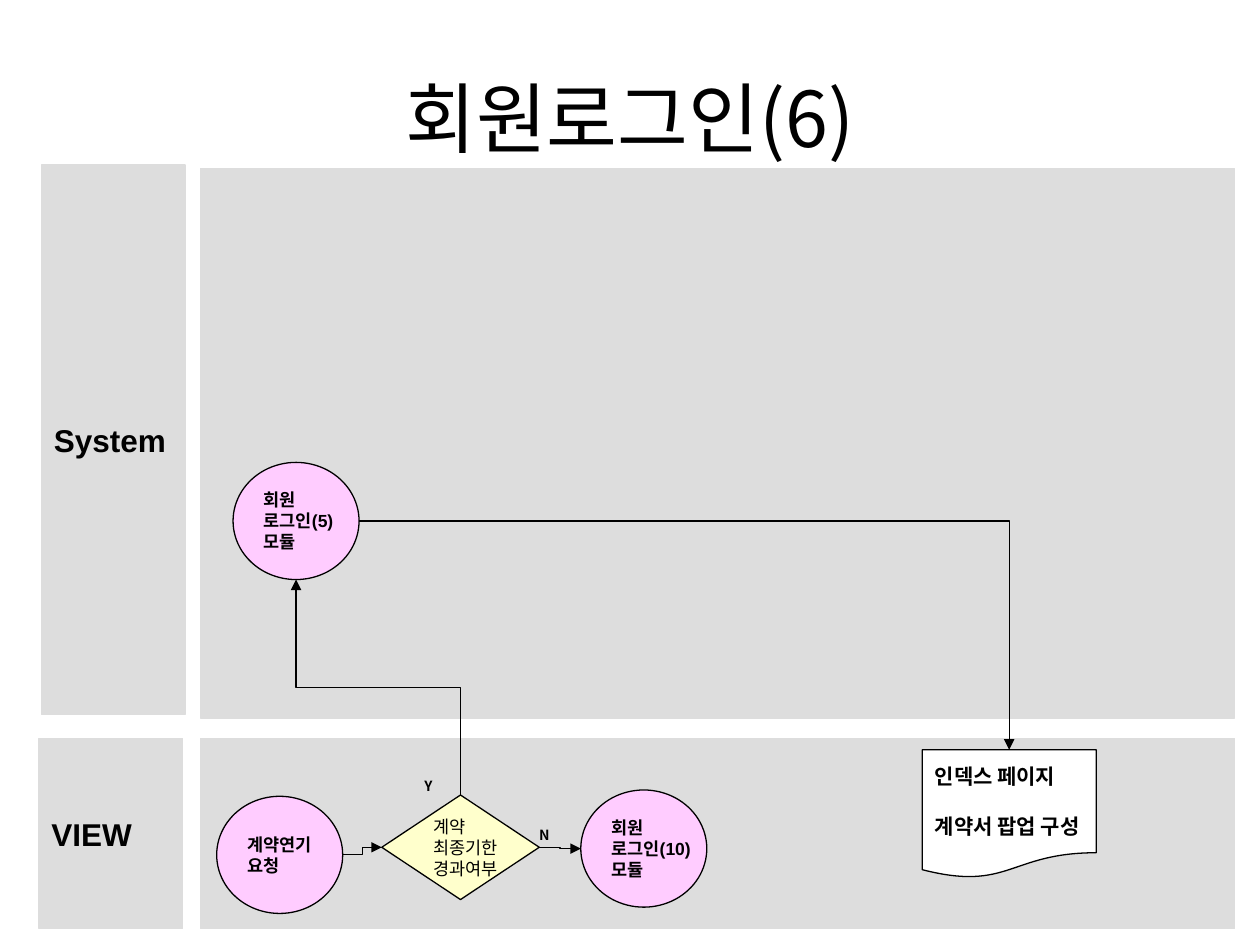
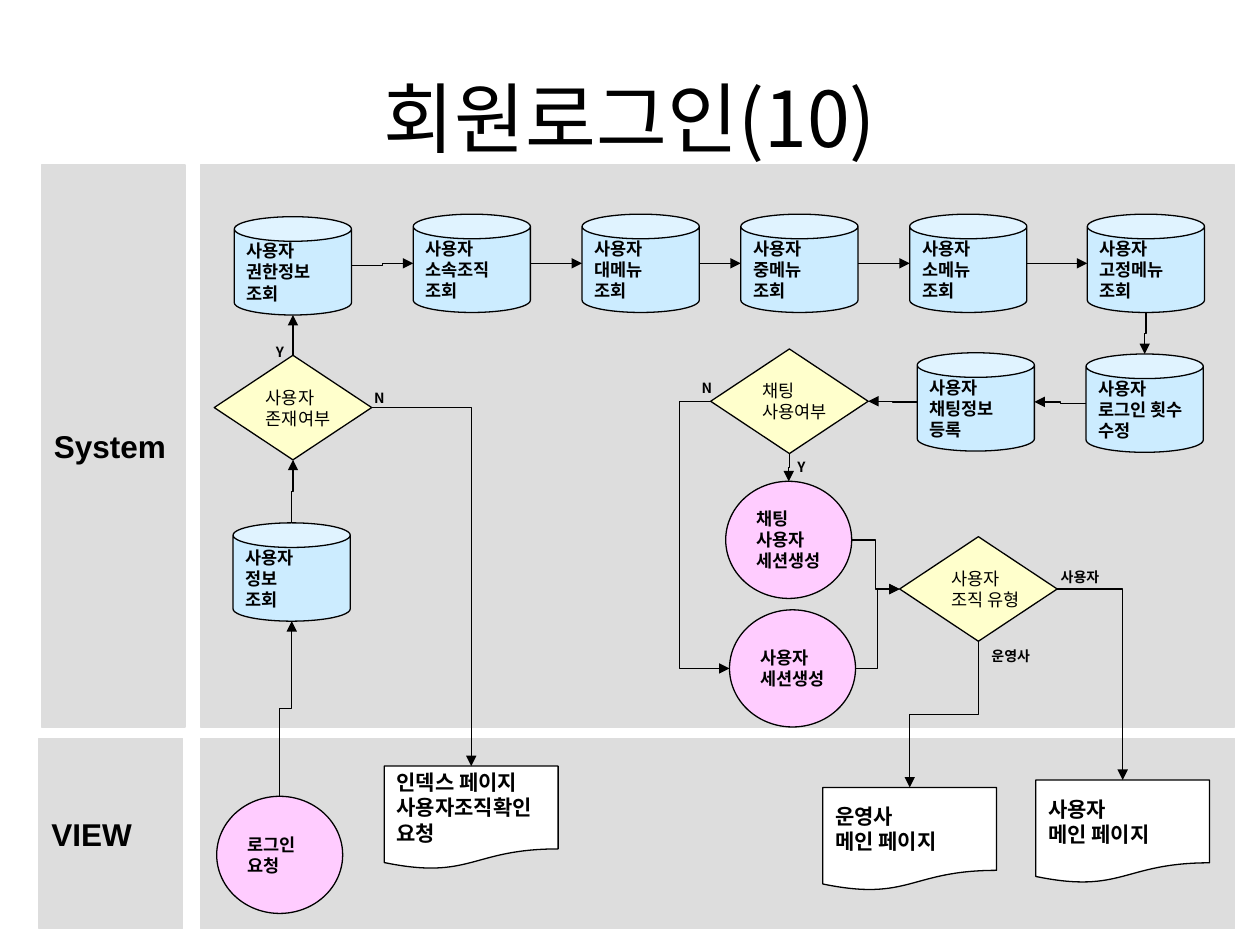
import dataclasses

import lxml.etree
import pptx
import pptx.dml.color
import pptx.enum.shapes
import pptx.enum.text
import pptx.oxml.ns
import pptx.util

Inches = pptx.util.Inches
Pt = pptx.util.Pt
qn = pptx.oxml.ns.qn
Kind = pptx.enum.shapes.MSO_SHAPE


@dataclasses.dataclass(frozen=True)
class Theme:
    ink: str = "000000"
    lane: str = "DDDDDD"
    latin: str = "Arial"
    asian: str = "Noto Sans CJK KR"
    title: int = 44
    head: int = 18
    page: int = 12
    step: int = 10
    tag: int = 8
    rule: float = 0.75


@dataclasses.dataclass(frozen=True)
class Box:
    x: float
    y: float
    w: float
    h: float

    def inset(self, x, y, w, h):
        return Box(self.x + x, self.y + y, w, h)

    def lengths(self):
        return [Inches(v) for v in (self.x, self.y, self.w, self.h)]


@dataclasses.dataclass(frozen=True)
class Style:
    shape: int
    w: float
    h: float
    fill: str
    size: int
    face: str
    bold: bool = True


THEME = Theme()
STEP = Style(Kind.OVAL, 1, 0.93, "FFCCFF", THEME.step, THEME.latin)
QUERY = Style(Kind.CAN, 0.93, 0.78, "CCECFF", THEME.step, THEME.latin)
TEST = Style(Kind.DIAMOND, 1.25, 0.83, "FFFFCC", THEME.step, THEME.asian, False)
PAGE = Style(Kind.FLOWCHART_DOCUMENT, 1.38, 0.82, "FFFFFF", THEME.page, THEME.latin)


def rgb(code):
    return pptx.dml.color.RGBColor.from_string(code)


def write(shape, lines, size, face, bold, gap=0):
    frame = shape.text_frame
    frame.word_wrap = False
    frame.text = "\n".join(lines)
    for i, para in enumerate(frame.paragraphs):
        para.alignment = pptx.enum.text.PP_ALIGN.LEFT
        if i and gap:
            para.space_before = Pt(gap)
        font = para.font
        font.name, font.size, font.bold = face, Pt(size), bold
        font.color.rgb = rgb(THEME.ink)
        props = para._p.get_or_add_pPr().get_or_add_defRPr()
        lxml.etree.SubElement(props, qn("a:ea"), typeface=THEME.asian)
    return frame


def block(slide, kind, box, fill, edge):
    shape = slide.shapes.add_shape(kind, *box.lengths())
    shape.shadow.inherit = False
    shape.fill.solid()
    shape.fill.fore_color.rgb = rgb(fill)
    shape.line.color.rgb = rgb(edge)
    shape.line.width = Pt(THEME.rule)
    shape.text_frame.vertical_anchor = pptx.enum.text.MSO_ANCHOR.MIDDLE
    return shape


def node(slide, area, style, x, y, lines, h=None, gap=0):
    box = area.inset(x, y, style.w, h or style.h)
    shape = block(slide, style.shape, box, style.fill, THEME.ink)
    write(shape, lines, style.size, style.face, style.bold, gap)
    return shape


def tag(slide, area, x, y, text):
    w = 0.28 if len(text) == 1 else 0.54
    shape = slide.shapes.add_textbox(*area.inset(x, y, w, 0.24).lengths())
    write(shape, [text], THEME.tag, THEME.asian, True)


def port(shape, side):
    dx, dy = {"top": (0.5, 0), "left": (0, 0.5),
              "base": (0.5, 1), "right": (1, 0.5)}[side]
    return shape.left + shape.width * dx, shape.top + shape.height * dy


def link(slide, start, out, end, into, bend=None):
    ax, ay = port(start, out)
    bx, by = port(end, into)
    upright = out in ("top", "base")
    corner = upright != (into in ("top", "base"))
    if upright:
        cx, cy = (ax + bx) / 2, (ay + by) / 2
        dx, dy = ax - cx, ay - cy
        ax, ay, bx, by = cx + dy, cy - dx, cx - dy, cy + dx
    elbow = pptx.enum.shapes.MSO_CONNECTOR.ELBOW
    line = slide.shapes.add_connector(elbow, *(round(v) for v in (ax, ay, bx, by)))
    line.line.color.rgb = rgb(THEME.ink)
    line.line.width = Pt(THEME.rule)
    props = line._element.spPr
    if upright:
        props.find(qn("a:xfrm")).set("rot", "5400000")
    shape = props.find(qn("a:prstGeom"))
    if corner:
        shape.set("prst", "bentConnector2")
    if bend is not None:
        ratio = round(Inches(bend) / (bx - ax) * 100000)
        lxml.etree.SubElement(shape.find(qn("a:avLst")), qn("a:gd"),
                              name="adj1", fmla=f"val {ratio}")
    lxml.etree.SubElement(props.find(qn("a:ln")), qn("a:tailEnd"), type="triangle")
    lxml.etree.SubElement(props, qn("a:effectLst"))


def chain(slide, *nodes):
    for left, right in zip(nodes, nodes[1:]):
        link(slide, left, "right", right, "left")


def heading(slide, box, text):
    shape = slide.shapes.add_textbox(*box.lengths())
    frame = write(shape, [text], THEME.title, THEME.asian, False)
    frame.word_wrap = True
    frame.vertical_anchor = pptx.enum.text.MSO_ANCHOR.MIDDLE
    frame.paragraphs[0].alignment = pptx.enum.text.PP_ALIGN.CENTER


def lane(slide, box, name, side, drop=0):
    label = block(slide, Kind.RECTANGLE, box.inset(side, 0, 1.14, box.h),
                  THEME.lane, THEME.lane)
    write(label, [name], THEME.head, THEME.latin, True)
    area = box.inset(1.28, drop, 8.21, box.h)
    block(slide, Kind.RECTANGLE, area, THEME.lane, THEME.lane)
    return area


def board(deck, title, tall, drop=0):
    slide = deck.slides.add_slide(deck.slide_layouts[6])
    heading(slide, Box(0.5, 0.3, 9, 1.25), title)
    view = lane(slide, Box(0.31, 5.86, 9.49, 1.51), "VIEW", 0)
    core = lane(slide, Box(0.31, 1.31, 9.49, tall), "System", 0.02, drop)
    return slide, core, view


def extend(deck):
    slide, core, view = board(deck, "회원로그인(6)", 4.36, 0.03)
    back = node(slide, core, STEP, 0.26, 2.33, ["회원", "로그인(5)", "모듈"])
    ask = node(slide, view, STEP, 0.13, 0.46, ["계약연기", "요청"])
    late = node(slide, view, TEST, 1.44, 0.45, ["계약", "최종기한", "경과여부"])
    login = node(slide, view, STEP, 3.02, 0.41, ["회원", "로그인(10)", "모듈"])
    index = node(slide, view, PAGE, 5.73, 0.09,
                 ["인덱스 페이지", "계약서 팝업 구성"], h=1.02, gap=14)
    chain(slide, ask, late, login)
    link(slide, late, "top", back, "base")
    link(slide, back, "right", index, "top")
    tag(slide, view, 1.68, 0.26, "Y")
    tag(slide, view, 2.59, 0.65, "N")


def enter(deck):
    slide, core, view = board(deck, "회원로그인(10)", 4.46)
    ask = node(slide, view, STEP, 0.13, 0.46, ["로그인", "요청"])
    index = node(slide, view, PAGE, 1.46, 0.22,
                 ["인덱스 페이지", "사용자조직확인", "요청"])
    staff = node(slide, view, PAGE, 4.94, 0.39, ["운영사", "메인 페이지"])
    home = node(slide, view, PAGE, 6.63, 0.33, ["사용자", "메인 페이지"])

    user = node(slide, core, QUERY, 0.26, 2.84, ["사용자", "정보", "조회"])
    known = node(slide, core, TEST, 0.11, 1.51, ["사용자", "존재여부"])
    right = node(slide, core, QUERY, 0.27, 0.41, ["사용자", "권한정보", "조회"])
    menus = [node(slide, core, QUERY, x, 0.39, ["사용자", name, "조회"])
             for x, name in ((1.69, "소속조직"), (3.03, "대메뉴"), (4.29, "중메뉴"),
                             (5.63, "소메뉴"), (7.04, "고정메뉴"))]
    count = node(slide, core, QUERY, 7.03, 1.5, ["사용자", "로그인 횟수", "수정"])
    chat = node(slide, core, QUERY, 5.69, 1.49, ["사용자", "채팅정보", "등록"])
    used = node(slide, core, TEST, 4.05, 1.46, ["채팅", "사용여부"])
    talk = node(slide, core, STEP, 4.17, 2.51, ["채팅", "사용자", "세션생성"])
    plain = node(slide, core, STEP, 4.2, 3.53, ["사용자", "세션생성"])
    group = node(slide, core, TEST, 5.55, 2.95, ["사용자", "조직 유형"])

    for low, high in ((ask, user), (user, known), (known, right)):
        link(slide, low, "top", high, "base")
    chain(slide, right, *menus)
    link(slide, menus[-1], "base", count, "top")
    link(slide, count, "left", chat, "right")
    link(slide, chat, "left", used, "right")
    link(slide, used, "base", talk, "top")
    link(slide, used, "left", plain, "left", bend=-0.25)
    chain(slide, talk, group)
    chain(slide, plain, group)
    link(slide, known, "right", index, "top")
    link(slide, group, "base", staff, "top")
    link(slide, group, "right", home, "top")

    for x, y, text in ((6.18, 3.78, "운영사"), (6.73, 3.15, "사용자"),
                       (0.5, 1.37, "Y"), (1.28, 1.73, "N"),
                       (4.64, 2.28, "Y"), (3.88, 1.65, "N")):
        tag(slide, core, x, y, text)


def main():
    deck = pptx.Presentation()
    deck.slide_width, deck.slide_height = Inches(10), Inches(7.5)
    extend(deck)
    enter(deck)
    deck.save("out.pptx")


if __name__ == "__main__":
    main()
